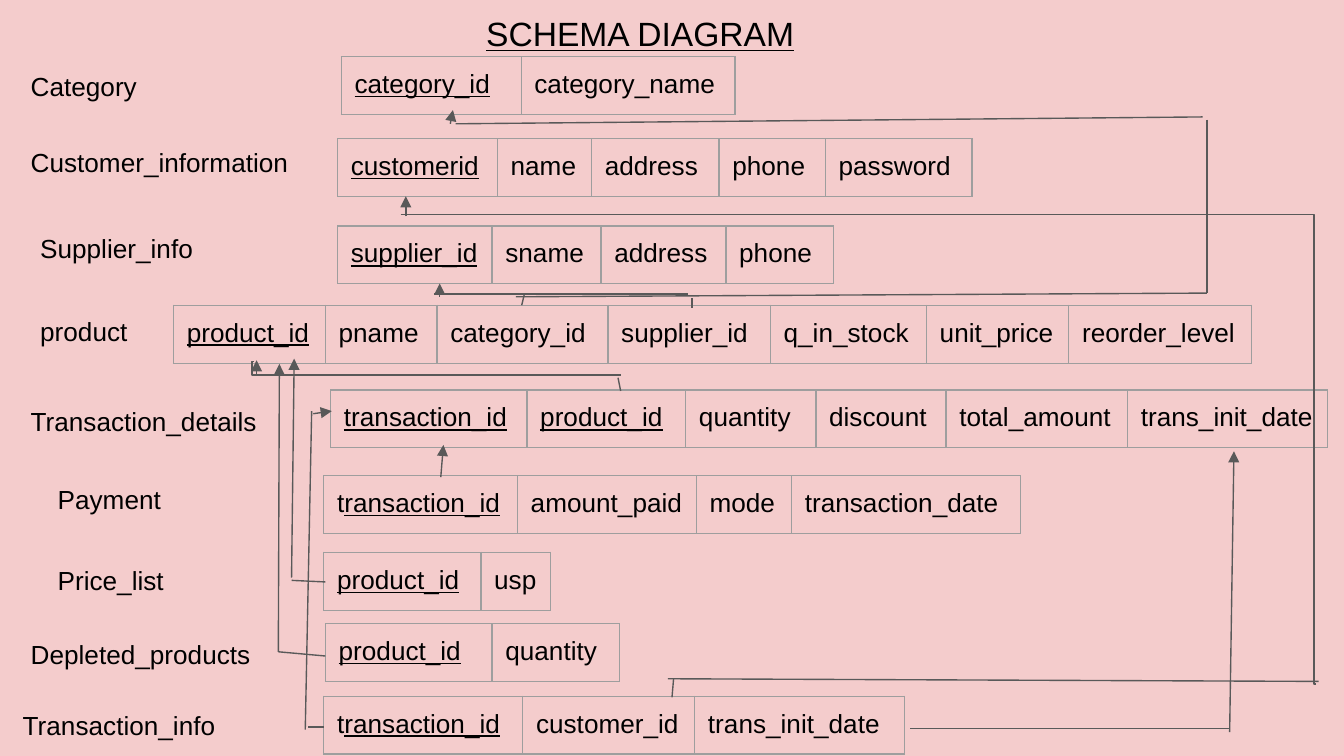
from lxml import etree
from pptx import Presentation
from pptx import util as u
from pptx.dml.color import RGBColor
from pptx.enum import shapes, text
from pptx.oxml import ns

Cm = u.Cm
COLORS = {"bg": "F4CCCC", "text": "000000", "border": "9E9E9E", "line": "595959"}
ROW_H = 1.07
MARGIN = 0.25

TABLES = [
    ("Category", 0.33, 1.09, 2.69, 6.45, 1.07,
     [("|category_id", 3.4), ("category_name", 4.04)]),
    ("Customer_information", 0.33, 2.51, 5.54, 6.38, 2.62,
     [("|customerid", 3.02), ("name", 1.78), ("address", 2.41), ("phone", 2.01),
      ("password", 2.77)]),
    ("Supplier_info", 0.51, 4.14, 3.94, 6.38, 4.27,
     [("|supplier_id", 2.92), ("sname", 2.06), ("address", 2.36), ("phone", 2.03)]),
    ("product", 0.51, 5.72, 2.34, 3.28, 5.77,
     [("|product_id", 2.87), ("pname", 2.11), ("category_id", 3.23),
      ("supplier_id", 3.07), ("q_in_stock", 2.95), ("unit_price", 2.69),
      ("reorder_level", 3.45)]),
    ("Transaction_details", 0.33, 7.42, 4.9, 6.25, 7.37,
     [("|transaction_id", 3.71), ("|product_id", 3), ("quantity", 2.46),
      ("discount", 2.46), ("total_amount", 3.43), ("trans_init_date", 3.78)]),
    ("Payment", 0.84, 8.89, 2.69, 6.12, 8.99,
     [("t|ransaction_id", 3.66), ("amount_paid", 3.38), ("mode", 1.8),
      ("transaction_date", 4.32)]),
    ("Price_list", 0.84, 10.41, 2.69, 6.12, 10.44,
     [("|product_id", 2.97), ("usp", 1.32)]),
    ("Depleted_products", 0.33, 11.81, 4.9, 6.15, 11.79,
     [("|product_id", 3.15), ("quantity", 2.41)]),
    ("Transaction_info", 0.18, 13.16, 4.27, 6.12, 13.16,
     [("t|ransaction_id", 3.76), ("customer_id", 3.25), ("trans_init_date", 3.96)]),
]

LINES = [
    (22.73, 2.21, 8.61, 2.34),
    (22.81, 2.26, 22.81, 5.54),
    (22.81, 5.54, 9.75, 5.61),
    (9.86, 5.77, 9.91, 5.56),
    (11.73, 7.39, 11.68, 7.14),
    (5.51, 10.97, 6.15, 11),
    (6.12, 13.74, 5.82, 13.74),
    (5.77, 13.79, 5.89, 7.77),
    (6.15, 12.4, 5.26, 12.32),
    (12.62, 12.83, 24.92, 12.88),
    (12.7, 13.18, 12.73, 12.83),
    (17.2, 13.77, 23.22, 13.77),
    (8.2, 5.56, 13, 5.56),
    (13.08, 5.82, 13.08, 5.64),
]
ARROWS = [
    (8.51, 2.34, 8.56, 2.08),
    (7.67, 4.09, 7.67, 3.71),
    (4.85, 7.09, 4.85, 6.81),
    (8.33, 9.02, 8.38, 8.41),
    (5.51, 10.92, 5.56, 6.78),
    (5.92, 7.82, 6.27, 7.77),
    (5.26, 12.32, 5.28, 6.88),
    (8.31, 5.61, 8.31, 5.36),
    (23.24, 13.84, 23.32, 8.53),
]
ELBOWS = [
    ((7.57, 4.06, 24.87, 12.93), 99800),
    ((4.8, 6.83, 11.73, 7.09), -500),
]


def write(tf, content, size=14):
    p = tf.paragraphs[0]
    plain, _, key = content.partition("|")
    for part, underlined in ((plain, False), (key, True)):
        if part:
            r = p.add_run()
            r.text = part
            r.font.name = "Arial"
            r.font.size = u.Pt(size)
            r.font.underline = underlined
            r.font.color.rgb = RGBColor.from_string(COLORS["text"])


def add_label(content, x, y, w, size=14):
    tf = s.shapes.add_textbox(Cm(x), Cm(y), Cm(w), Cm(1.08)).text_frame
    tf.word_wrap = True
    tf.vertical_anchor = text.MSO_ANCHOR.TOP
    tf.margin_left = tf.margin_right = tf.margin_top = tf.margin_bottom = Cm(MARGIN)
    write(tf, content, size)


prs = Presentation()
prs.slide_width, prs.slide_height = Cm(25.4), Cm(14.29)
s = prs.slides.add_slide(prs.slide_layouts[6])
s.background.fill.solid()
s.background.fill.fore_color.rgb = RGBColor.from_string(COLORS["bg"])

add_label("|SCHEMA DIAGRAM", 8.94, 0, 6.83, 18)

for name, label_x, label_y, label_w, x, y, columns in TABLES:
    add_label(name, label_x, label_y, label_w)
    width = sum(w for _, w in columns)
    table = s.shapes.add_table(1, len(columns), Cm(x), Cm(y), Cm(width), Cm(ROW_H)).table
    table.first_row = table.horz_banding = False
    for i, (content, w) in enumerate(columns):
        table.columns[i].width = Cm(w)
        cell = table.cell(0, i)
        cell.margin_left = cell.margin_right = Cm(MARGIN)
        cell.margin_top = cell.margin_bottom = Cm(MARGIN)
        cell.fill.background()
        write(cell.text_frame, content)
        tc_pr = cell._tc.get_or_add_tcPr()
        for k, side in enumerate(("lnL", "lnR", "lnT", "lnB")):
            ln = etree.Element(ns.qn(f"a:{side}"), w="9525")
            fill = etree.SubElement(ln, ns.qn("a:solidFill"))
            etree.SubElement(fill, ns.qn("a:srgbClr"), val=COLORS["border"])
            tc_pr.insert(k, ln)

straight, elbow = shapes.MSO_CONNECTOR.STRAIGHT, shapes.MSO_CONNECTOR.ELBOW
links = [(straight, ends, False, None) for ends in LINES]
links += [(straight, ends, True, None) for ends in ARROWS]
links += [(elbow, ends, False, bend) for ends, bend in ELBOWS]

for kind, ends, arrow, bend in links:
    c = s.shapes.add_connector(kind, *map(Cm, ends))
    c.line.color.rgb = RGBColor.from_string(COLORS["line"])
    c.line.width = u.Pt(0.75)
    sp_pr = c._element.spPr
    etree.SubElement(sp_pr, ns.qn("a:effectLst"))
    if arrow:
        etree.SubElement(sp_pr.find(ns.qn("a:ln")), ns.qn("a:tailEnd"), type="triangle")
    if bend is not None:
        geom = sp_pr.find(ns.qn("a:prstGeom"))
        guides = geom.find(ns.qn("a:avLst"))
        if guides is None:
            guides = etree.SubElement(geom, ns.qn("a:avLst"))
        etree.SubElement(guides, ns.qn("a:gd"), name="adj1", fmla=f"val {bend}")

prs.save("out.pptx")
